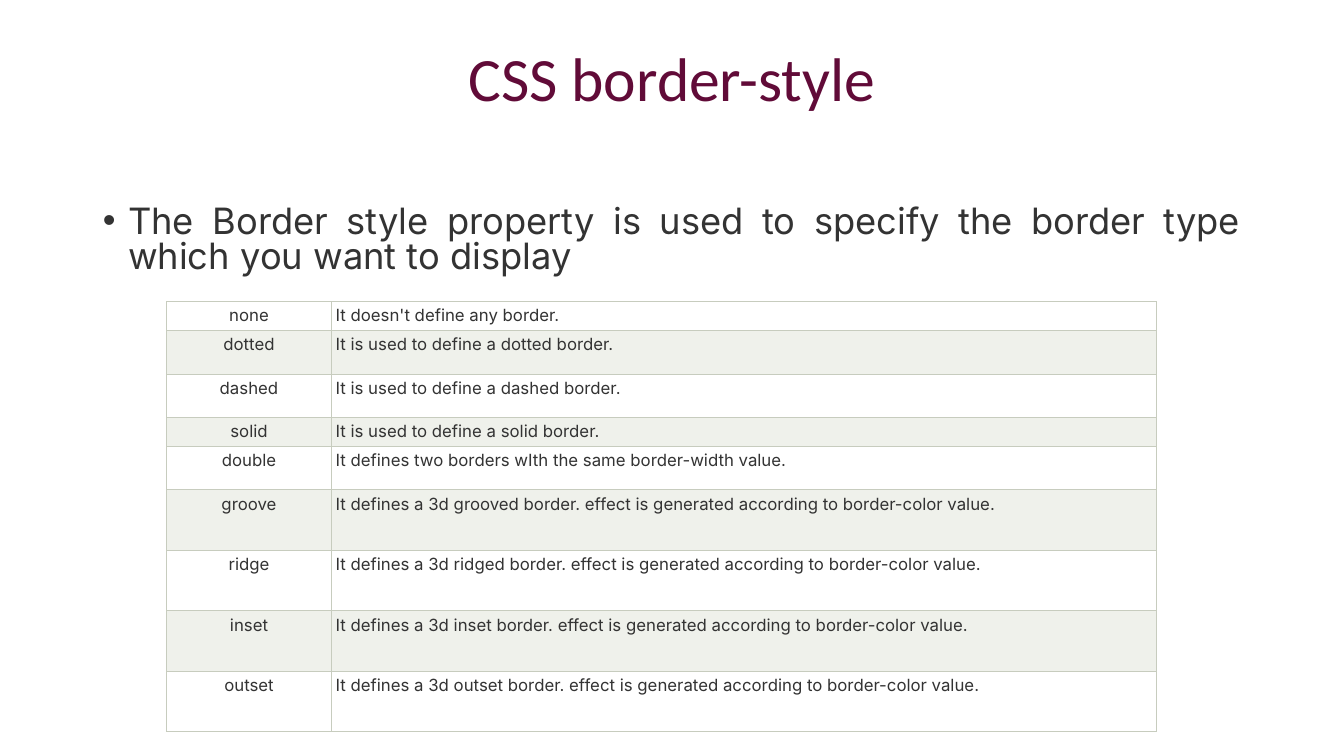
from lxml.etree import SubElement
from pptx import Presentation
from pptx.dml.color import RGBColor
from pptx.enum.text import MSO_ANCHOR as Anchor, MSO_AUTO_SIZE as AutoSize, PP_ALIGN as Align
from pptx.oxml.ns import qn
from pptx.util import Inches, Pt

SLIDE_WIDTH, SLIDE_HEIGHT = 13.33, 7.5
INK, PLUM, SAGE, WHITE, RULE = "333333", "610B38", "EFF1EB", "FFFFFF", "C7CCBE"
SHORT, MEDIUM, TALL = 0.29, 0.43, 0.6

BORDER_STYLES = [
    ("none", "It doesn't define any border.", SHORT),
    ("dotted", "It is used to define a dotted border.", MEDIUM),
    ("dashed", "It is used to define a dashed border.", MEDIUM),
    ("solid", "It is used to define a solid border.", SHORT),
    ("double", "It defines two borders wIth the same border-width value.", MEDIUM),
] + [
    (style, f"It defines a 3d {kind} border. effect is generated according to border-color value.", TALL)
    for style, kind in [("groove", "grooved"), ("ridge", "ridged"),
                        ("inset", "inset"), ("outset", "outset")]
]


def rgb(color):
    return RGBColor.from_string(color)


def place(shape, box):
    shape.left, shape.top, shape.width, shape.height = (Inches(length) for length in box)


def format_paragraph(paragraph, align, size, color, font="Inter"):
    paragraph.alignment = align
    paragraph.font.name = font
    paragraph.font.size = Pt(size)
    paragraph.font.color.rgb = rgb(color)


def add_heading(slide, box):
    heading = slide.shapes.title
    place(heading, box)
    frame = heading.text_frame
    frame.text = "CSS border-style"
    frame.auto_size = AutoSize.NONE
    frame.vertical_anchor = Anchor.MIDDLE
    line = frame.paragraphs[0]
    line.line_spacing = 0.9
    line.space_before = Pt(0)
    format_paragraph(line, Align.CENTER, 44, PLUM, "Calibri")


def add_summary(slide, box):
    summary = slide.placeholders[1]
    place(summary, box)
    frame = summary.text_frame
    frame.text = "The Border style property is used to specify the border type which you want to display"
    frame.auto_size = AutoSize.NONE
    frame.vertical_anchor = Anchor.TOP
    bullet = frame.paragraphs[0]
    bullet.line_spacing = 0.8
    bullet.space_before = Pt(0)
    properties = bullet._p.get_or_add_pPr()
    properties.set("marL", str(Inches(0.25)))
    properties.set("indent", str(Inches(-0.25)))
    SubElement(properties, qn("a:buFont"), typeface="Arial")
    SubElement(properties, qn("a:buChar"), char="•")
    format_paragraph(bullet, Align.JUSTIFY, 25.9, INK)


def rule_cell(cell):
    """Draw a thin line on all four sides of the cell."""
    properties = cell._tc.get_or_add_tcPr()
    for side in ("a:lnL", "a:lnR", "a:lnT", "a:lnB"):
        line = SubElement(properties, qn(side), w=str(Pt(0.6)))
        fill = SubElement(line, qn("a:solidFill"))
        SubElement(fill, qn("a:srgbClr"), val=RULE)


def fill_cell(cell, text, align, color):
    cell.margin_left = cell.margin_right = cell.margin_top = cell.margin_bottom = Inches(0.04)
    cell.vertical_anchor = Anchor.TOP
    cell.text = text
    format_paragraph(cell.text_frame.paragraphs[0], align, 12, INK)
    rule_cell(cell)
    cell.fill.solid()
    cell.fill.fore_color.rgb = rgb(color)


def add_style_table(slide, left, top, width):
    height = sum(row_height for _, _, row_height in BORDER_STYLES)
    frame = slide.shapes.add_table(len(BORDER_STYLES), 2, Inches(left), Inches(top),
                                   Inches(width), Inches(height))
    table = frame.table
    table.first_row = table.horz_banding = False
    for column, share in zip(table.columns, (1 / 6, 5 / 6)):
        column.width = Inches(round(width * share, 2))
    for row, (style, meaning, row_height) in enumerate(BORDER_STYLES):
        table.rows[row].height = Inches(row_height)
        color = SAGE if row % 2 else WHITE
        fill_cell(table.cell(row, 0), style, Align.CENTER, color)
        fill_cell(table.cell(row, 1), meaning, Align.JUSTIFY, color)


def main():
    deck = Presentation()
    deck.slide_width, deck.slide_height = Inches(SLIDE_WIDTH), Inches(SLIDE_HEIGHT)
    slide = deck.slides.add_slide(deck.slide_layouts[1])
    slide.background.fill.solid()
    slide.background.fill.fore_color.rgb = rgb(WHITE)
    margin = 0.92
    text_width = SLIDE_WIDTH - 2 * margin
    add_heading(slide, (margin, 0.4, text_width, 0.82))
    add_summary(slide, (margin, 2, text_width, 0.82))
    add_style_table(slide, 1.65, 2.99, 9.81)
    deck.save("out.pptx")


if __name__ == "__main__":
    main()
